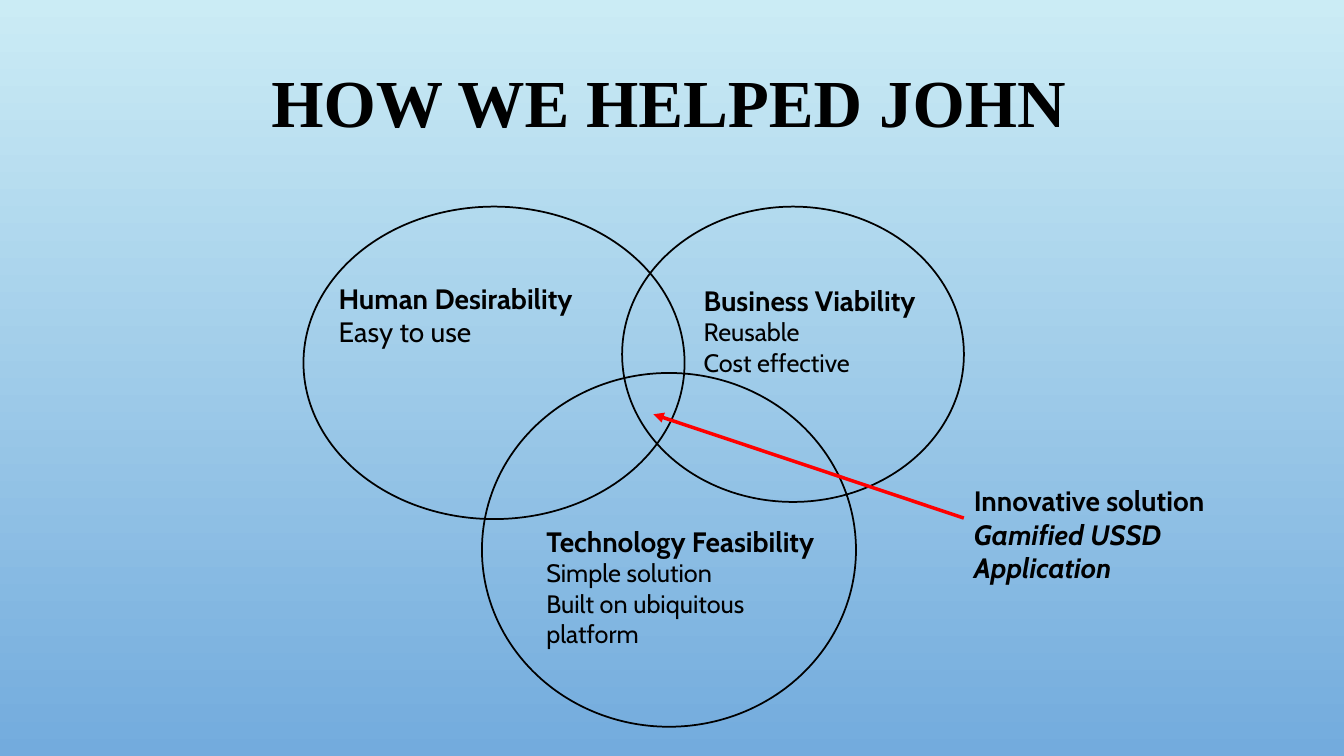
"""Build a Venn diagram slide about the innovative solution found for John."""
from dataclasses import dataclass

from lxml.etree import SubElement
from pptx import Presentation
from pptx.dml.color import RGBColor
from pptx.enum.shapes import MSO_CONNECTOR as Connector, MSO_SHAPE as Preset
from pptx.enum.text import MSO_ANCHOR as Anchor, MSO_AUTO_SIZE as AutoSize, PP_ALIGN as Align
from pptx.oxml.ns import qn
from pptx.slide import Slide
from pptx.util import Inches, Pt

BLACK = RGBColor(0x00, 0x00, 0x00)
RED = RGBColor(0xFF, 0x00, 0x00)
SKY_TOP = RGBColor(0xCB, 0xEC, 0xF5)
SKY_BOTTOM = RGBColor(0x73, 0xAB, 0xDD)


@dataclass(frozen=True)
class Box:
    left: float
    top: float
    width: float
    height: float

    def lengths(self) -> list[Inches]:
        return [Inches(n) for n in (self.left, self.top, self.width, self.height)]


@dataclass(frozen=True)
class Line:
    text: str
    size: int = 18
    bold: bool = False
    italic: bool = False
    font: str = "Cabin"


@dataclass(frozen=True)
class Caption:
    box: Box
    lines: tuple[Line, ...]


TITLE = Caption(Box(0.97, 0.17, 11.33, 1.75),
                (Line("HOW WE HELPED JOHN", 48, True, font="Times New Roman"),))
CIRCLES = (
    Box(3.01, 2.05, 3.78, 3.1),
    Box(6.17, 2.05, 3.39, 2.93),
    Box(4.78, 3.7, 3.71, 3.51),
)
CAPTIONS = (
    Caption(Box(3.26, 2.74, 2.76, 0.77),
            (Line("Human Desirability", 20, True), Line("Easy to use", 20))),
    Caption(Box(6.88, 2.76, 2.59, 1.04),
            (Line("Business Viability", 20, True), Line("Reusable"), Line("Cost effective"))),
    Caption(Box(5.32, 5.15, 2.93, 1.04),
            (Line("Technology Feasibility", 20, True), Line("Simple solution"),
             Line("Built on ubiquitous platform"))),
    Caption(Box(9.56, 4.75, 3.11, 0.77),
            (Line("Innovative solution", 20, True),
             Line("Gamified USSD Application", 20, True, True))),
)


def paint_background(slide: Slide) -> None:
    fill = slide.background.fill
    fill.gradient()
    fill.gradient_angle = 270
    for stop, color in zip(fill.gradient_stops, (SKY_TOP, SKY_BOTTOM)):
        stop.color.rgb = color


def draw_circle(slide: Slide, box: Box) -> None:
    circle = slide.shapes.add_shape(Preset.OVAL, *box.lengths())
    circle.shadow.inherit = False
    circle.fill.background()
    circle.line.color.rgb = BLACK
    circle.line.width = Pt(1.25)


def write_caption(slide: Slide, caption: Caption):
    frame = slide.shapes.add_textbox(*caption.box.lengths()).text_frame
    frame.word_wrap = True
    frame.auto_size = AutoSize.SHAPE_TO_FIT_TEXT
    frame.text = "\n".join(line.text for line in caption.lines)
    for paragraph, line in zip(frame.paragraphs, caption.lines):
        font = paragraph.runs[0].font
        font.name, font.size = line.font, Pt(line.size)
        font.bold, font.italic = line.bold, line.italic
        font.color.rgb = BLACK
    return frame


def write_title(slide: Slide) -> None:
    frame = write_caption(slide, TITLE)
    frame.auto_size = AutoSize.NONE
    frame.vertical_anchor = Anchor.MIDDLE
    frame.paragraphs[0].alignment = Align.CENTER
    frame.paragraphs[0].line_spacing = 0.9


def draw_arrow(slide: Slide) -> None:
    arrow = slide.shapes.add_connector(
        Connector.STRAIGHT, Inches(9.56), Inches(5.14), Inches(6.48), Inches(4.11))
    arrow.line.color.rgb = RED
    arrow.line.width = Pt(2.5)
    SubElement(arrow.line._get_or_add_ln(), qn("a:tailEnd"), type="triangle")
    SubElement(arrow._element.spPr, qn("a:effectLst"))


def main() -> None:
    deck = Presentation()
    deck.slide_width, deck.slide_height = Inches(13.33), Inches(7.5)
    slide = deck.slides.add_slide(deck.slide_layouts[6])
    paint_background(slide)
    write_title(slide)
    for circle in CIRCLES:
        draw_circle(slide, circle)
    draw_arrow(slide)
    for caption in CAPTIONS:
        write_caption(slide, caption)
    deck.save("out.pptx")


if __name__ == "__main__":
    main()
